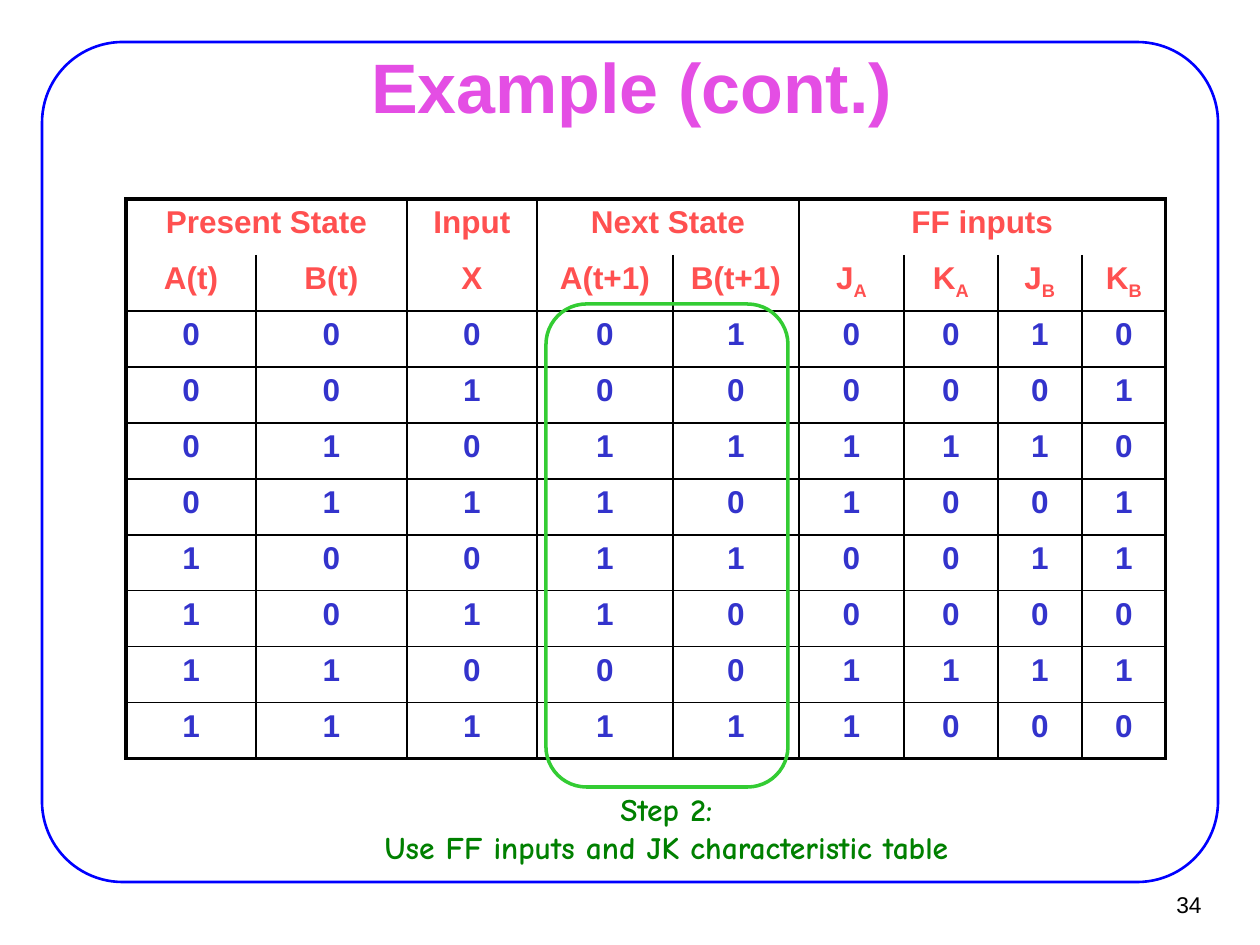
from dataclasses import dataclass

from lxml.etree import SubElement
from pptx import Presentation
from pptx.dml.color import RGBColor
from pptx.enum.shapes import MSO_SHAPE as Shape
from pptx.enum.text import MSO_ANCHOR as Anchor, MSO_AUTO_SIZE as AutoSize, PP_ALIGN as Align
from pptx.oxml.ns import qn
from pptx.util import Emu, Pt

PX_PER_INCH = 126
COLORS = {
    "frame": "0000FF",
    "title": "E44EE4",
    "header": "FF5050",
    "bit": "3333CC",
    "highlight": "33CC33",
    "step": "008000",
    "ink": "000000",
}
OUTER, INNER, NONE = 2.25, 1, 0


@dataclass(frozen=True)
class Box:
    left: int
    top: int
    width: int
    height: int

    def emu(self) -> tuple[Emu, ...]:
        return tuple(map(px, (self.left, self.top, self.width, self.height)))


@dataclass(frozen=True)
class Outline:
    box: Box
    color: str
    weight: float
    rounding: float


@dataclass(frozen=True)
class Group:
    label: str
    span: int


FRAME = Outline(Box(42, 42, 1176, 840), "frame", 1.5, 0.096)
HIGHLIGHT = Outline(Box(546, 304, 242, 483), "highlight", 2, 0.167)
TITLE_BOX = Box(96, 55, 1071, 62)
NUMBER_BOX = Box(1137, 881, 77, 47)
STEP_BOX = Box(315, 784, 703, 88)

TABLE_LEFT, TABLE_TOP, ROW_HEIGHT = 126, 199, 56
COLUMN_WIDTHS = [130, 151, 130, 136, 126, 105, 94, 84, 84]
GROUPS = [Group("Present State", 2), Group("Input", 1), Group("Next State", 2), Group("FF inputs", 4)]
SIGNALS = ["A(t)", "B(t)", "X", "A(t+1)", "B(t+1)", "J_A", "K_A", "J_B", "K_B"]
STATES = [
    "000010010",
    "001000001",
    "010111110",
    "011101001",
    "100110011",
    "101100000",
    "110001111",
    "111111000",
]


def px(length: int) -> Emu:
    return Emu(round(length * 914400 / PX_PER_INCH))


def rgb(name: str) -> RGBColor:
    return RGBColor.from_string(COLORS[name])


def write(frame, text: str, *, color: str, size: int = 18, font: str = "Arial",
          bold: bool = True, align=Align.CENTER) -> None:
    paragraph = frame.paragraphs[0]
    paragraph.alignment = align
    for number, line in enumerate(text.split("\n")):
        if number:
            paragraph.add_line_break()
        for level, part in enumerate(line.split("_")):
            run = paragraph.add_run()
            run.text = part
            run.font.name = font
            run.font.size = Pt(size)
            run.font.bold = bold
            run.font.color.rgb = rgb(color)
            if level:
                run.font._element.set("baseline", "-25000")


def draw_outline(slide, outline: Outline) -> None:
    shape = slide.shapes.add_shape(Shape.ROUNDED_RECTANGLE, *outline.box.emu())
    shape.adjustments[0] = outline.rounding
    shape.shadow.inherit = False
    shape.fill.background()
    shape.line.color.rgb = rgb(outline.color)
    shape.line.width = Pt(outline.weight)


def vertical_weight(row: int, edge: int, group_edges: set[int]) -> float:
    if edge in (0, len(SIGNALS)):
        return OUTER
    return NONE if row == 0 and edge not in group_edges else INNER


def horizontal_weight(edge: int) -> float:
    if edge in (0, len(STATES) + 2):
        return OUTER
    return NONE if edge == 1 else INNER


def set_borders(cell, weights: dict[str, float]) -> None:
    properties = cell._tc.get_or_add_tcPr()
    for side, weight in weights.items():
        border = SubElement(properties, qn(f"a:ln{side}"), w=str(Pt(weight)))
        if weight:
            fill = SubElement(border, qn("a:solidFill"))
            SubElement(fill, qn("a:srgbClr"), val=COLORS["ink"])
        else:
            SubElement(border, qn("a:noFill"))


def draw_state_table(slide) -> None:
    row_count = len(STATES) + 2
    box = Box(TABLE_LEFT, TABLE_TOP, sum(COLUMN_WIDTHS), ROW_HEIGHT * row_count)
    table = slide.shapes.add_table(row_count, len(SIGNALS), *box.emu()).table
    table.first_row = table.horz_banding = False
    for column, width in zip(table.columns, COLUMN_WIDTHS):
        column.width = px(width)
    for table_row in table.rows:
        table_row.height = px(ROW_HEIGHT)

    group_edges = set()
    start = 0
    for group in GROUPS:
        group_edges.add(start)
        origin = table.cell(0, start)
        if group.span > 1:
            origin.merge(table.cell(0, start + group.span - 1))
        write(origin.text_frame, group.label, color="header")
        start += group.span

    for row, values in enumerate([SIGNALS, *STATES], start=1):
        for column, value in enumerate(values):
            write(table.cell(row, column).text_frame, value, color="header" if row == 1 else "bit")

    for row in range(row_count):
        for column in range(len(SIGNALS)):
            cell = table.cell(row, column)
            end = column + (cell.span_width if cell.is_merge_origin else 1)
            set_borders(cell, {
                "L": vertical_weight(row, column, group_edges),
                "R": vertical_weight(row, end, group_edges),
                "T": horizontal_weight(row),
                "B": horizontal_weight(row + 1),
            })
            cell.fill.background()


def draw_title(slide) -> None:
    title = slide.shapes.title
    title.left, title.top, title.width, title.height = TITLE_BOX.emu()
    title.text_frame.auto_size = AutoSize.NONE
    title.text_frame.vertical_anchor = Anchor.MIDDLE
    write(title.text_frame, "Example (cont.)", color="title", size=40)


def add_text_frame(slide, box: Box, *, wrap: bool = True, anchor=Anchor.TOP):
    frame = slide.shapes.add_textbox(*box.emu()).text_frame
    frame.word_wrap = wrap
    frame.vertical_anchor = anchor
    return frame


def main() -> None:
    presentation = Presentation()
    presentation.slide_width, presentation.slide_height = px(1260), px(945)
    slide = presentation.slides.add_slide(presentation.slide_layouts[5])
    draw_outline(slide, FRAME)
    number = add_text_frame(slide, NUMBER_BOX, wrap=False, anchor=Anchor.MIDDLE)
    write(number, "34", color="ink", size=13, bold=False, align=Align.RIGHT)
    draw_title(slide)
    draw_state_table(slide)
    draw_outline(slide, HIGHLIGHT)
    step = add_text_frame(slide, STEP_BOX)
    write(step, "Step 2:\nUse FF inputs and JK characteristic table", color="step", font="Comic Neue")
    presentation.save("out.pptx")


if __name__ == "__main__":
    main()
